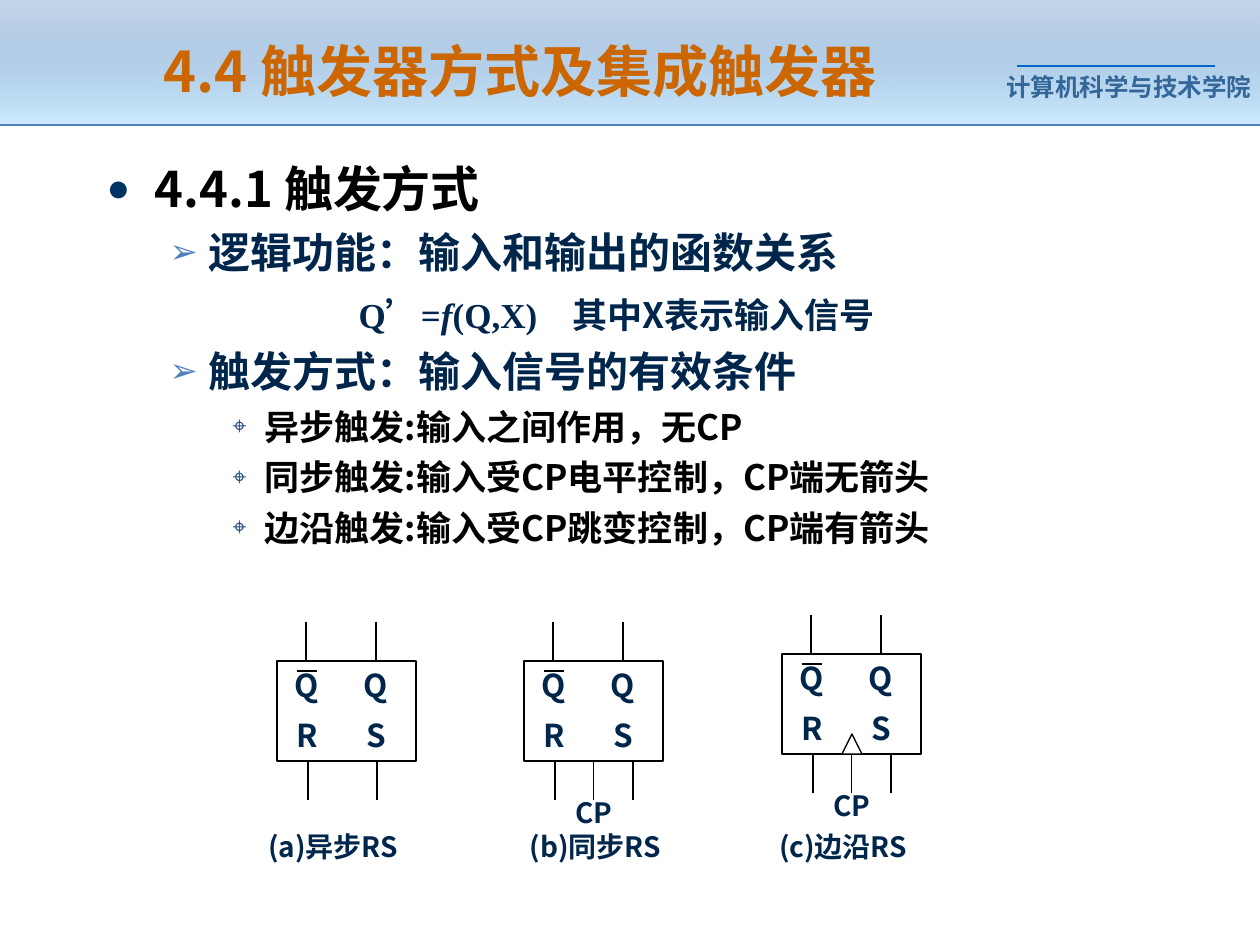
from dataclasses import dataclass

from lxml import etree
from pptx import Presentation
from pptx import util as u
from pptx.dml.color import RGBColor
from pptx.enum import shapes, text
from pptx.oxml.ns import qn

PX = 7257  # EMU per pixel, 126 pixels to the inch


@dataclass(frozen=True)
class Theme:
    title: str = "CC6600"
    ink: str = "00264C"
    black: str = "000000"
    white: str = "FFFFFF"
    school: str = "336699"
    rule: str = "4F81BD"
    school_rule: str = "0066CC"
    sky: str = "CCECFF"
    dot: str = "003366"
    target: str = "1F497D"
    cjk: str = "Noto Sans CJK SC"
    serif: str = "Times New Roman"
    sans: str = "Arial"
    title_size: int = 32
    head_size: int = 28
    topic_size: int = 24
    item_size: int = 20
    pin_size: int = 18
    caption_size: int = 16
    school_size: int = 14


theme = Theme()


def style(span, size, color, latin=theme.cjk):
    """Bold run in a Latin font, with the CJK font for East Asian characters."""
    span.font.size = u.Pt(size)
    span.font.bold = True
    span.font.color.rgb = RGBColor.from_string(color)
    span.font.name = latin
    etree.SubElement(span._r.get_or_add_rPr(), qn("a:ea"), typeface=theme.cjk)


def draw(target, kind, x, y, width, height, words="", size=theme.pin_size,
         color=theme.ink, line=theme.black, weight=0.75, latin=theme.cjk):
    """Add a line, an outlined shape, or a label centred on x, y."""
    if kind == "line":
        item = target.add_connector(shapes.MSO_CONNECTOR.STRAIGHT, x * PX, y * PX,
                                    (x + width) * PX, (y + height) * PX)
        etree.SubElement(item._element.spPr, qn("a:effectLst"))
    elif kind == "label":
        item = target.add_textbox((x - width // 2) * PX, (y - height // 2) * PX,
                                  width * PX, height * PX)
        frame = item.text_frame
        frame.margin_left = frame.margin_right = frame.margin_top = frame.margin_bottom = 0
        frame.vertical_anchor = text.MSO_ANCHOR.MIDDLE
        frame.word_wrap = True
        frame.text = words
        frame.paragraphs[0].alignment = text.PP_ALIGN.CENTER
        style(frame.paragraphs[0].runs[0], size, color, latin)
        return item
    else:
        item = target.add_shape(kind, x * PX, y * PX, width * PX, height * PX)
        item.shadow.inherit = False
        item.fill.solid()
        item.fill.fore_color.rgb = RGBColor.from_string(theme.white)
    item.line.color.rgb = RGBColor.from_string(line)
    item.line.width = u.Pt(weight)
    return item


deck = Presentation()
deck.slide_width, deck.slide_height = 1260 * PX, 945 * PX
page = deck.slides.add_slide(deck.slide_layouts[1])
title, body = page.placeholders

# Header band, behind the title
band = draw(page.shapes, shapes.MSO_SHAPE.RECTANGLE, 0, 0, 1260, 125)
band.line.fill.background()
band.fill.gradient()
band.fill.gradient_angle = 270
for stop, color, position in zip(band.fill.gradient_stops, (theme.rule, theme.sky), (0, 1)):
    stop.color.rgb = RGBColor.from_string(color)
    stop.position = position
first_color = band._element.spPr.find(".//" + qn("a:srgbClr"))
etree.SubElement(first_color, qn("a:alpha"), val="32000")
page.shapes._spTree.insert(2, band._element)
draw(page.shapes, "label", 1129, 86, 260, 43, "计算机科学与技术学院",
     theme.school_size, theme.school, latin=theme.sans)
draw(page.shapes, "line", 1017, 66, 198, 0, line=theme.school_rule)
draw(page.shapes, "line", 0, 125, 1260, 0, line=theme.rule, weight=1.5)

# Title
title.left, title.top, title.width, title.height = 64 * PX, 26 * PX, 912 * PX, 88 * PX
title.text_frame.text = "4.4 触发器方式及集成触发器"
title.text_frame.auto_size = text.MSO_AUTO_SIZE.NONE
title.text_frame.vertical_anchor = text.MSO_ANCHOR.MIDDLE
title.text_frame.paragraphs[0].alignment = text.PP_ALIGN.CENTER
style(title.text_frame.paragraphs[0].runs[0], theme.title_size, theme.title)

# Outline: level, bullet, bullet colour, bullet size %, margin, hanging,
# type size, text colour, line height, space before
HEAD = (0, "●", theme.dot, 80, 48, 48, theme.head_size, theme.black, 33.5, 0)
TOPIC = (1, "➢", theme.rule, 80, 102, 39, theme.topic_size, theme.ink, 28.5, 6)
FORMULA = (1, None, None, None, 252, 0, theme.item_size, theme.ink, 28.5, 5)
ITEM = (2, "⌖", theme.target, 70, 158, 32, theme.item_size, theme.black, 24, 5)
outline = [
    (HEAD, ["4.4.1 触发方式"]),
    (TOPIC, ["逻辑功能：输入和输出的函数关系"]),
    (FORMULA, ["Q’=", "f", "(Q,X)", "　其中X表示输入信号"]),
    (TOPIC, ["触发方式：输入信号的有效条件"]),
    (ITEM, ["异步触发:输入之间作用，无CP"]),
    (ITEM, ["同步触发:输入受CP电平控制，CP端无箭头"]),
    (ITEM, ["边沿触发:输入受CP跳变控制，CP端有箭头"]),
]
body.left, body.top, body.width, body.height = 94 * PX, 152 * PX, 1092 * PX, 407 * PX
frame = body.text_frame
frame.auto_size = text.MSO_AUTO_SIZE.NONE
for index, (look, pieces) in enumerate(outline):
    level, bullet, bullet_color, percent, margin, hanging, size, color, height, before = look
    para = frame.add_paragraph() if index else frame.paragraphs[0]
    para.level = level
    para.line_spacing = u.Pt(height)
    para.space_before = u.Pt(before)
    props = para._p.get_or_add_pPr()
    props.set("marL", str(margin * PX))
    props.set("indent", str(-hanging * PX))
    if bullet:
        tint = etree.SubElement(props, qn("a:buClr"))
        etree.SubElement(tint, qn("a:srgbClr"), val=bullet_color)
        etree.SubElement(props, qn("a:buSzPct"), val=str(percent * 1000))
        etree.SubElement(props, qn("a:buFont"), typeface=theme.sans)
        etree.SubElement(props, qn("a:buChar"), char=bullet)
    else:
        etree.SubElement(props, qn("a:buNone"))
    for piece in pieces:
        span = para.add_run()
        span.text = piece
        in_formula = look is FORMULA and piece != pieces[-1]
        style(span, size, color, theme.serif if in_formula else theme.cjk)
        span.font.italic = piece == "f"

# Flip-flops: left, top, offset of the S lead, clock input, edge marker, caption
flip_flops = [
    (277, 661, 100, False, False, "(a)异步RS", 333),
    (524, 661, 109, True, False, "(b)同步RS", 595),
    (782, 654, 109, True, True, "(c)边沿RS", 843),
]
for left, top, s_lead, clocked, edge, caption, center in flip_flops:
    parts = page.shapes.add_group_shape().shapes
    box = draw(parts, shapes.MSO_SHAPE.RECTANGLE, left, top, 139, 100)
    for pin, x, y in (("Q", 30, 24), ("Q", 99, 24), ("R", 30, 74), ("S", 99, 74)):
        draw(parts, "label", left + x, top + y, 50, 50, pin)
    draw(parts, "line", left + 20, top + 10, 20, 0)
    for x, y in ((29, -39), (99, -39), (31, 100), (s_lead, 100)):
        draw(parts, "line", left + x, top + y, 0, 39)
    if clocked:
        clock = draw(parts, "line", left + 70, top + 100, 0, 39)
        clock.begin_connect(box, 2)
        clock.end_x = clock.begin_x
        draw(parts, "label", left + 70, top + 151, 80, 46, "CP", theme.caption_size)
    if edge:
        draw(parts, shapes.MSO_SHAPE.ISOSCELES_TRIANGLE, left + 60, top + 80, 20, 20)
    draw(page.shapes, "label", center, 846, 260, 46, caption, theme.caption_size)

deck.save("out.pptx")
